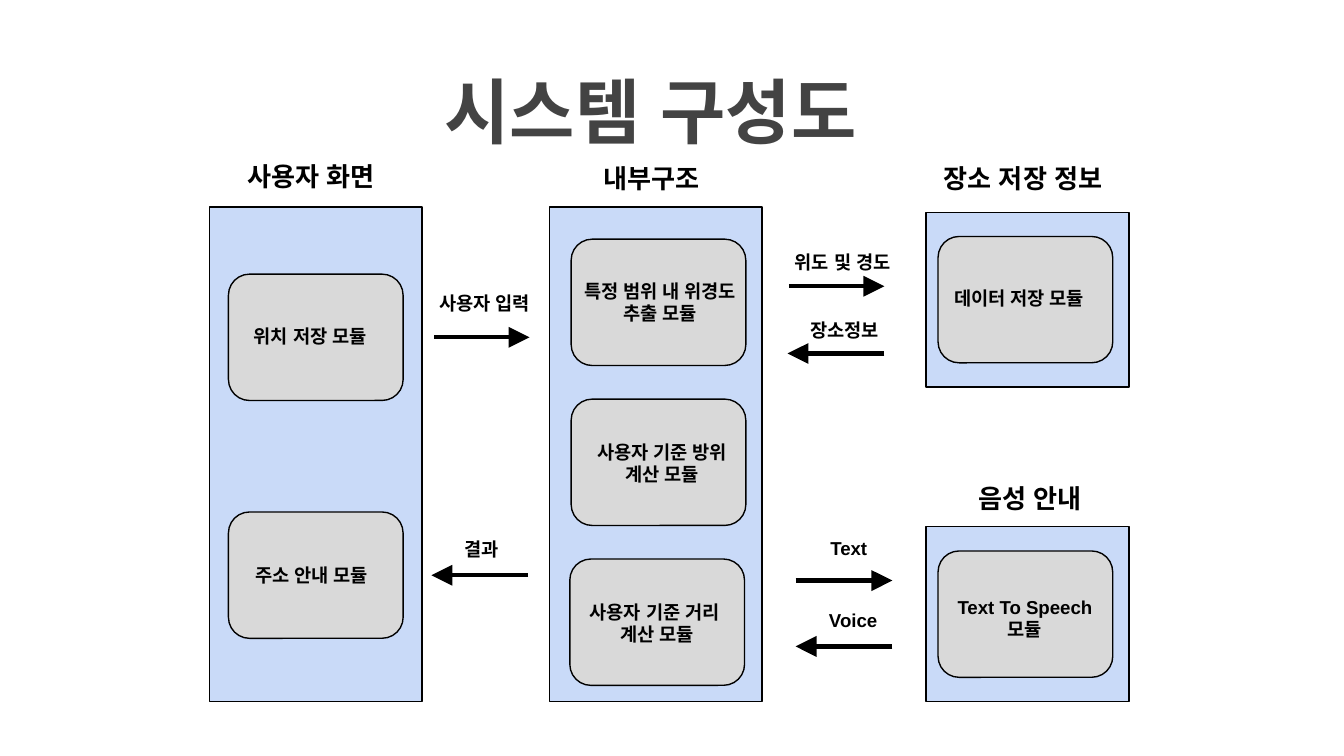
from dataclasses import dataclass
from lxml import etree
from pptx import Presentation
from pptx.dml.color import RGBColor
from pptx.enum.shapes import MSO_CONNECTOR, MSO_SHAPE
from pptx.enum.text import MSO_ANCHOR, PP_ALIGN
from pptx.oxml.ns import qn
from pptx.util import Inches, Pt

RECT, ROUND = MSO_SHAPE.RECTANGLE, MSO_SHAPE.ROUNDED_RECTANGLE
STRAIGHT = MSO_CONNECTOR.STRAIGHT
TOP, MIDDLE = MSO_ANCHOR.TOP, MSO_ANCHOR.MIDDLE
LEFT, CENTER = PP_ALIGN.LEFT, PP_ALIGN.CENTER


@dataclass(frozen=True)
class Theme:
    font: str = "Arial"
    ink: RGBColor = RGBColor(0x00, 0x00, 0x00)
    title: RGBColor = RGBColor(0x43, 0x43, 0x43)
    panel: RGBColor = RGBColor(0xC9, 0xDA, 0xF8)
    module: RGBColor = RGBColor(0xD9, 0xD9, 0xD9)
    title_size: int = 38
    heading_size: int = 14
    label_size: int = 10


T = Theme()


def add_box(kind, x, y, w, h, fill):
    sp = s.shapes.add_shape(kind, Inches(x), Inches(y), Inches(w), Inches(h))
    sp.shadow.inherit = False
    sp.fill.solid()
    sp.fill.fore_color.rgb = fill
    sp.line.color.rgb = T.ink
    sp.line.width = Pt(0.75)


def add_text(text, x, y, w, h, size, align=LEFT, color=T.ink, anchor=TOP, inset=0.1):
    tf = s.shapes.add_textbox(Inches(x), Inches(y), Inches(w), Inches(h)).text_frame
    tf.word_wrap = True
    tf.vertical_anchor = anchor
    tf.margin_left = tf.margin_right = Inches(0.1)
    tf.margin_top = tf.margin_bottom = Inches(inset)
    for i, line in enumerate(text.split("\n")):
        p = tf.add_paragraph() if i else tf.paragraphs[0]
        p.alignment = align
        r = p.add_run()
        r.text = line
        r.font.name = T.font
        r.font.size = Pt(size)
        r.font.bold = True
        r.font.color.rgb = color
        for tag in ("a:ea", "a:cs"):
            etree.SubElement(r.font._element, qn(tag), typeface=T.font)


prs = Presentation()
prs.slide_width, prs.slide_height = Inches(10), Inches(10 * 9 / 16)
s = prs.slides.add_slide(prs.slide_layouts[6])

add_text("시스템 구성도", 3.21, 0.45, 4.08, 0.74, T.title_size,
         color=T.title, anchor=MIDDLE, inset=0.05)

panels = [
    (1.56, 1.54, 1.58, 3.68),
    (4.09, 1.54, 1.58, 3.68),
    (6.89, 1.58, 1.51, 1.3),
    (6.89, 3.92, 1.51, 1.3),
]
for panel in panels:
    add_box(RECT, *panel, T.panel)

headings = [
    ("사용자 화면", 1.74, 1.09, 1.43),
    ("내부구조", 4.39, 1.11, 1),
    ("장소 저장 정보", 6.92, 1.11, 1.5),
    ("음성 안내", 7.18, 3.49, 1.09),
]
for text, x, y, w in headings:
    add_text(text, x, y, w, 0.42, T.heading_size)

modules = [
    (1.7, 2.04, "위치 저장 모듈", 1.79, 2.33, 1.12, 0.42, LEFT),
    (1.7, 3.81, "주소 안내 모듈", 1.8, 4.11, 1.2, 0.42, LEFT),
    (4.25, 1.78, "특정 범위 내 위경도 추출 모듈", 4.19, 1.98, 1.44, 0.61, CENTER),
    (4.25, 2.97, "사용자 기준 방위 계산 모듈", 4.28, 3.18, 1.29, 0.51, CENTER),
    (4.24, 4.16, "사용자 기준 거리 \n계산 모듈", 4.26, 4.37, 1.26, 0.51, CENTER),
    (6.98, 1.76, "데이터 저장 모듈", 7, 2.05, 1.28, 0.33, LEFT),
    (6.98, 4.1, "Text To Speech 모듈", 7.02, 4.33, 1.21, 0.51, CENTER),
]
for x, y, text, tx, ty, tw, th, align in modules:
    add_box(ROUND, x, y, 1.3, 0.94, T.module)
    add_text(text, tx, ty, tw, th, T.label_size, align)

flows = [
    (3.23, 3.94, 2.51, "사용자 입력", 3.17, 2.09, 1.09, LEFT),
    (3.93, 3.21, 4.28, "결과", 3.36, 3.92, 0.57, LEFT),
    (5.87, 6.58, 2.13, "위도 및 경도", 5.62, 1.78, 1.3, CENTER),
    (6.58, 5.86, 2.63, "장소정보", 5.93, 2.29, 0.93, LEFT),
    (5.92, 6.64, 4.32, "Text", 6.08, 3.91, 0.57, LEFT),
    (6.64, 5.92, 4.81, "Voice", 6.07, 4.45, 0.66, LEFT),
]
for x1, x2, y, text, tx, ty, tw, align in flows:
    arrow = s.shapes.add_connector(STRAIGHT, Inches(x1), Inches(y), Inches(x2), Inches(y))
    arrow.line.color.rgb = T.ink
    arrow.line.width = Pt(2.25)
    etree.SubElement(arrow.line._get_or_add_ln(), qn("a:tailEnd"),
                     type="triangle", w="lg", len="lg")
    etree.SubElement(arrow._element.spPr, qn("a:effectLst"))
    add_text(text, tx, ty, tw, 0.27, T.label_size, align)

prs.save("out.pptx")
